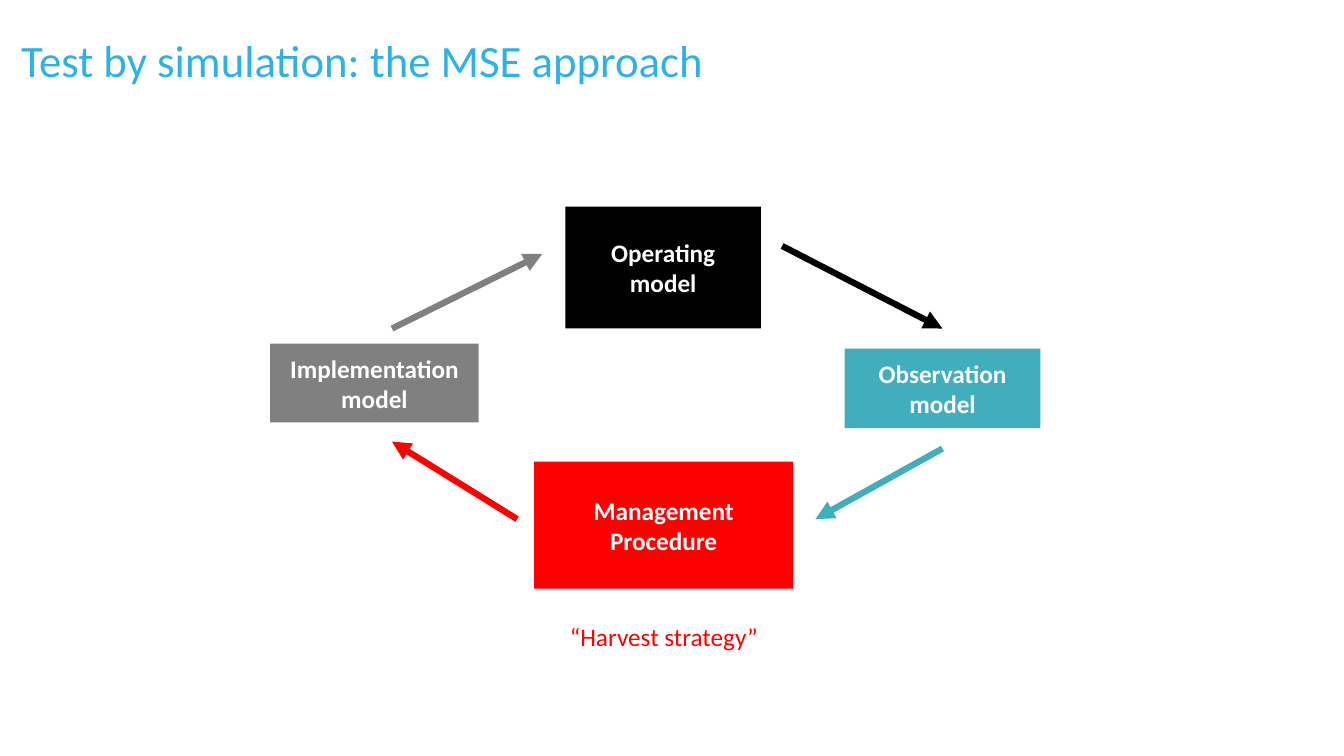
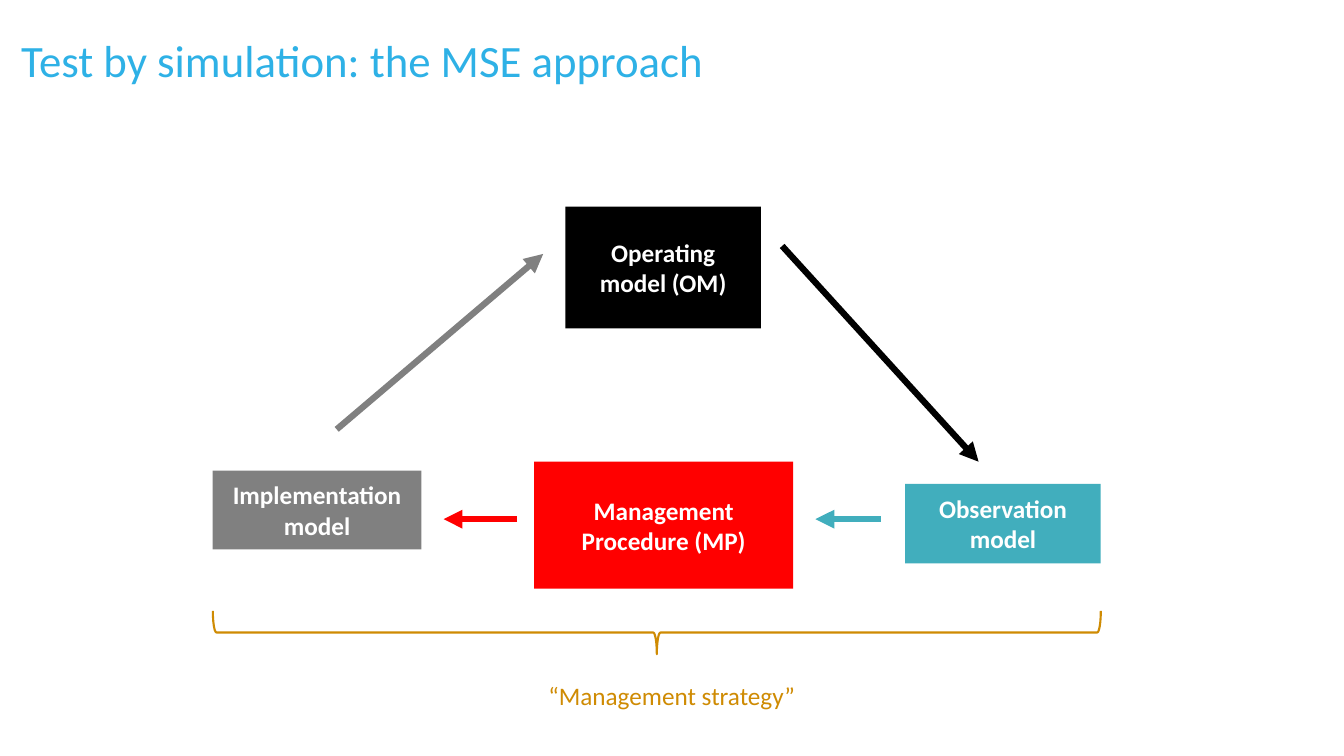
"""Two slides on the management strategy evaluation loop."""
import dataclasses

import pptx
import pptx.dml.color
import pptx.enum.shapes
import pptx.enum.text
import pptx.oxml.xmlchemy
import pptx.presentation
import pptx.shapes.base
import pptx.slide
import pptx.text.text
import pptx.util
from pptx.util import Pt

FONT = "Calibri"
TITLE = "Test by simulation: the MSE approach"
BLACK, WHITE, GREY = "000000", "FFFFFF", "808080"
TEAL, RED, GOLD, SKY = "41AEBD", "FF0000", "CF8B03", "2EB1E6"
ALIGN = pptx.enum.text.PP_ALIGN
ANCHOR = pptx.enum.text.MSO_ANCHOR
AUTO = pptx.enum.text.MSO_AUTO_SIZE
SHAPE = pptx.enum.shapes.MSO_SHAPE


@dataclasses.dataclass(frozen=True)
class Box:
    text: str
    color: str
    x: float
    y: float
    w: float
    h: float


@dataclasses.dataclass(frozen=True)
class Arrow:
    color: str
    x1: float
    y1: float
    x2: float
    y2: float


def rgb(color: str) -> pptx.dml.color.RGBColor:
    return pptx.dml.color.RGBColor.from_string(color)


def set_text(tf: pptx.text.text.TextFrame, text: str, size: float, color: str,
             align: ALIGN = ALIGN.CENTER, bold: bool = False) -> None:
    tf.text = text
    tf.word_wrap = True
    p = tf.paragraphs[0]
    p.alignment = align
    font = p.runs[0].font
    font.name, font.size, font.bold = FONT, Pt(size), bold
    font.color.rgb = rgb(color)


def add_title_slide(prs: pptx.presentation.Presentation) -> pptx.slide.Slide:
    s = prs.slides.add_slide(prs.slide_layouts.get_by_name("Title Only"))
    title = s.shapes.title
    title.left, title.top, title.width, title.height = Pt(7.9), Pt(7.2), Pt(656), Pt(75.6)
    tf = title.text_frame
    set_text(tf, TITLE, 32, SKY, ALIGN.LEFT)
    tf.auto_size = AUTO.NONE
    tf.vertical_anchor = ANCHOR.MIDDLE
    tf.paragraphs[0].line_spacing = 0.9
    return s


def add_box(s: pptx.slide.Slide, box: Box) -> None:
    sp = s.shapes.add_shape(SHAPE.RECTANGLE, Pt(box.x), Pt(box.y), Pt(box.w), Pt(box.h))
    sp.shadow.inherit = False
    sp.fill.solid()
    sp.fill.fore_color.rgb = rgb(box.color)
    sp.line.fill.background()
    sp.text_frame.vertical_anchor = ANCHOR.MIDDLE
    set_text(sp.text_frame, box.text, 18, WHITE, bold=True)


def add_arrow(s: pptx.slide.Slide, arrow: Arrow) -> None:
    line = s.shapes.add_connector(
        pptx.enum.shapes.MSO_CONNECTOR.STRAIGHT,
        Pt(arrow.x1), Pt(arrow.y1), Pt(arrow.x2), Pt(arrow.y2))
    line.line.color.rgb = rgb(arrow.color)
    line.line.width = Pt(4.5)
    ln = line.line._get_or_add_ln()
    ln.append(pptx.oxml.xmlchemy.OxmlElement("a:tailEnd"))
    ln[-1].set("type", "triangle")
    line._element.spPr.append(pptx.oxml.xmlchemy.OxmlElement("a:effectLst"))


def add_caption(s: pptx.slide.Slide, text: str, color: str, x: float, y: float) -> None:
    sp = s.shapes.add_textbox(Pt(x), Pt(y), Pt(222.5), Pt(51))
    set_text(sp.text_frame, text, 18, color)
    sp.text_frame.auto_size = AUTO.SHAPE_TO_FIT_TEXT


def add_brace(s: pptx.slide.Slide, x: float, y: float, w: float, h: float) -> None:
    """Draw a brace that opens upwards, given its visible frame."""
    left, top = x + (w - h) / 2, y + (h - w) / 2
    sp = s.shapes.add_shape(SHAPE.RIGHT_BRACE, Pt(left), Pt(top), Pt(h), Pt(w))
    sp.rotation = 90
    sp.shadow.inherit = False
    sp.fill.background()
    sp.line.color.rgb = rgb(GOLD)
    sp.line.width = Pt(1.5)


def add_cycle(s: pptx.slide.Slide, boxes: list[Box], arrows: list[Arrow]) -> None:
    for box in boxes:
        add_box(s, box)
    for arrow in arrows:
        add_arrow(s, arrow)


def operating(text: str) -> Box:
    return Box(text, BLACK, 403.9, 147.6, 139.7, 87)


def observation(x: float, y: float) -> Box:
    return Box("Observation model", TEAL, x, y, 139.7, 56.9)


def procedure(text: str) -> Box:
    return Box(text, RED, 381.6, 329.8, 185, 90.7)


def implementation(x: float, y: float) -> Box:
    return Box("Implementation model", GREY, x, y, 149, 56.2)


def build_harvest(prs: pptx.presentation.Presentation) -> None:
    s = add_title_slide(prs)
    add_cycle(
        s,
        [operating("Operating model"), observation(603.4, 249),
         procedure("Management Procedure"), implementation(193, 245.5)],
        [Arrow(BLACK, 558.7, 175.7, 673.2, 234.7),
         Arrow(TEAL, 673.2, 320.4, 582.5, 370.8),
         Arrow(RED, 369.4, 370.8, 280, 315.4),
         Arrow(GREY, 280, 234.7, 387.4, 181.4)])
    add_caption(s, "“Harvest strategy”", RED, 362.9, 440.6)


def build_management(prs: pptx.presentation.Presentation) -> None:
    s = add_title_slide(prs)
    add_cycle(
        s,
        [operating("Operating model (OM)"), observation(646.6, 345.6),
         procedure("Management Procedure (MP)"), implementation(152, 336.2)],
        [Arrow(BLACK, 558.7, 175.7, 699, 329.8),
         Arrow(TEAL, 629.3, 370.8, 582.5, 370.8),
         Arrow(RED, 369.4, 370.8, 316.8, 370.8),
         Arrow(GREY, 240.5, 306.7, 388, 181.4)])
    add_brace(s, 152, 436.3, 634.3, 31)
    add_caption(s, "“Management strategy”", GOLD, 368.6, 482.4)


def main() -> None:
    prs = pptx.Presentation()
    prs.slide_width, prs.slide_height = Pt(960), Pt(540)
    build_harvest(prs)
    build_management(prs)
    prs.save("out.pptx")


if __name__ == "__main__":
    main()
